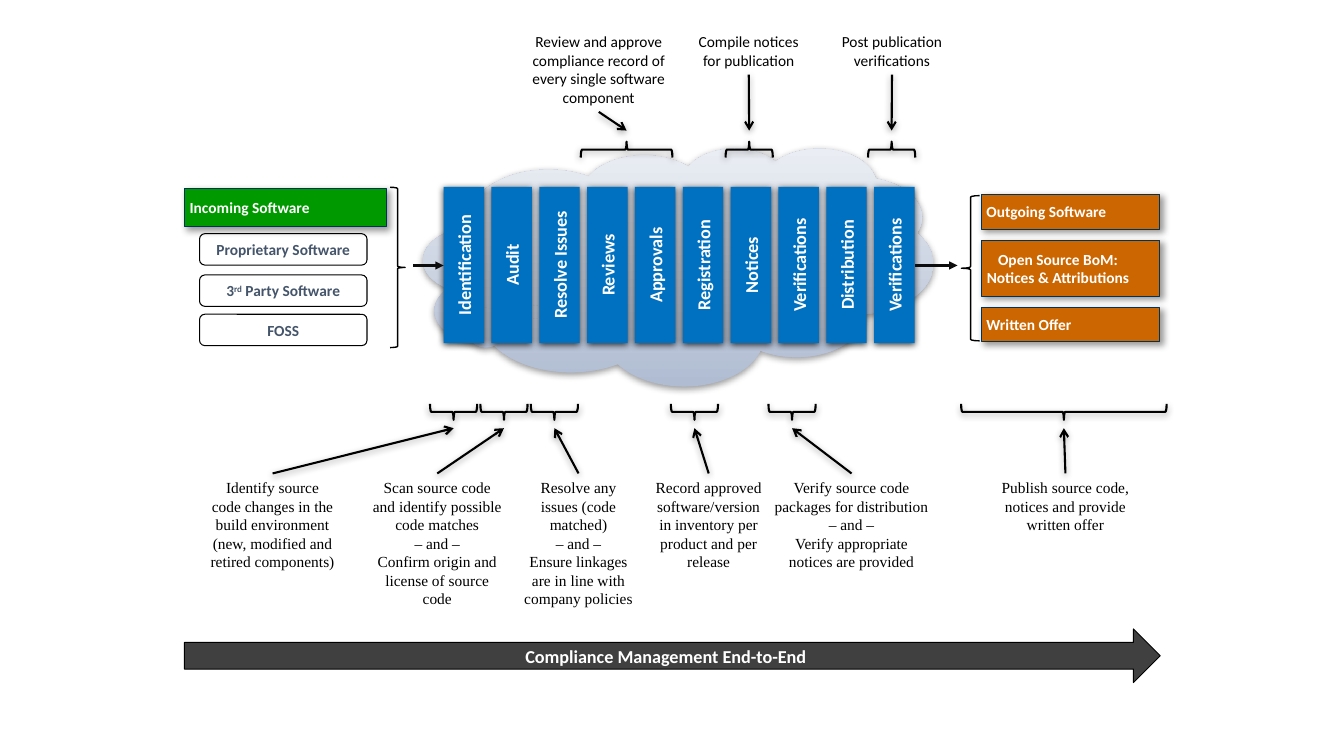
from lxml import etree
from pptx import Presentation
from pptx.dml.color import RGBColor
from pptx.enum.shapes import MSO_CONNECTOR, MSO_SHAPE
from pptx.enum.text import MSO_ANCHOR, PP_ALIGN
from pptx.oxml.ns import qn
from pptx.util import Cm, Pt

RECT, ROUND = MSO_SHAPE.RECTANGLE, MSO_SHAPE.ROUNDED_RECTANGLE
CLOUD, BLOCK_ARROW = MSO_SHAPE.CLOUD_CALLOUT, MSO_SHAPE.RIGHT_ARROW
LEFT_BRACE, RIGHT_BRACE = MSO_SHAPE.LEFT_BRACE, MSO_SHAPE.RIGHT_BRACE
STRAIGHT = MSO_CONNECTOR.STRAIGHT
LEFT, CENTER = PP_ALIGN.LEFT, PP_ALIGN.CENTER
TOP, MIDDLE = MSO_ANCHOR.TOP, MSO_ANCHOR.MIDDLE

SOFT = (38, 1.6, 90)
DEEP = (75, 1, 90)
CORNER = (40, 3, 45)

STEPS = ["Identification", "Audit", "Resolve Issues", "Reviews", "Approvals",
         "Registration", "Notices", "Verifications", "Distribution", "Verifications"]
SOURCES = [(1.14, "Proprietary Software"), (2.18, "3^rd^ Party Software"), (3.17, "FOSS")]
OUTPUTS = [(0, 0.89, LEFT, ["Outgoing Software"]),
           (1.16, 1.42, CENTER, ["Open Source BoM:", "Notices & Attributions"]),
           (2.86, 0.86, LEFT, ["Written Offer"])]

# Each note: text centre, text width, text height, brace centre, brace length, lines
NOTES_ABOVE = [
    (10.44, 3.86, 2.13, 11.14, 2.31,
     ["Review and approve", "compliance record of every single software component"]),
    (14.22, 3.86, 1.19, 14.23, 1.19, ["Compile notices", "for publication"]),
    (17.83, 3.86, 1.19, 17.82, 1.19, ["Post publication", "verifications"]),
]
NOTES_BELOW = [
    (2.22, 3.63, 2.62, 6.78, 1.19,
     ["Identify source", "code changes in the", "build environment",
      "(new, modified and", "retired components)"]),
    (6.37, 3.76, 3.56, 8.05, 1.19,
     ["Scan source code", "and identify possible", "code matches", "– and –",
      "Confirm origin and", "license of source", "code"]),
    (9.93, 3.25, 3.56, 9.32, 1.19,
     ["Resolve any", "issues (code", "matched)", "– and –", "Ensure linkages",
      "are in line with", "company policies"]),
    (13.21, 3.2, 2.62, 12.85, 1.19,
     ["Record approved", "software/version", "in inventory per", "product and per", "release"]),
    (16.81, 3.97, 2.62, 15.31, 1.19,
     ["Verify source code packages for distribution", "– and –",
      "Verify appropriate notices are provided"]),
    (22.2, 3.97, 1.68, 22.16, 5.18,
     ["Publish source code,", "notices and provide written offer"]),
]


def rgb(value):
    """Turn a hex string into a colour."""
    return RGBColor.from_string(value)


def add_shadow(sp, opacity, dist, angle):
    """Give a shape or connector an outer shadow."""
    effects = etree.SubElement(sp._element.spPr, qn("a:effectLst"))
    outer = etree.SubElement(effects, qn("a:outerShdw"), blurRad=str(Pt(5)),
                             dist=str(Pt(dist)), dir=str(angle * 60000), rotWithShape="0")
    color = etree.SubElement(outer, qn("a:srgbClr"), val="000000")
    etree.SubElement(color, qn("a:alpha"), val=str(opacity * 1000))


def add_shape(s, kind, x, y, w, h, fill=None, line=None, width=0.75, shadow=None):
    """Add a preset shape with its fill, outline and shadow."""
    sp = s.shapes.add_shape(kind, Cm(x), Cm(y), Cm(w), Cm(h))
    if fill:
        sp.fill.solid()
        sp.fill.fore_color.rgb = rgb(fill)
    else:
        sp.fill.background()
    if line:
        sp.line.color.rgb = rgb(line)
        sp.line.width = Pt(width)
    else:
        sp.line.fill.background()
    if shadow:
        add_shadow(sp, *shadow)
    else:
        sp.shadow.inherit = False
    return sp


def write(sp, lines, size, color, font="Calibri", bold=True, align=CENTER,
          anchor=MIDDLE, left=0.0, right=0.0):
    """Write one paragraph per line, with text between carets raised."""
    tf = sp.text_frame
    tf.word_wrap = True
    tf.vertical_anchor = anchor
    tf.margin_left, tf.margin_right = Cm(left), Cm(right)
    for i, line in enumerate(lines):
        p = tf.paragraphs[0] if i == 0 else tf.add_paragraph()
        p.alignment = align
        for j, part in enumerate(line.split("^")):
            r = p.add_run()
            r.text = part
            r.font.name, r.font.size, r.font.bold = font, Pt(size), bold
            r.font.color.rgb = rgb(color)
            if j % 2:
                r._r.get_or_add_rPr().set("baseline", "30000")


def add_arrow(s, x1, y1, x2, y2, color, head, shadow=None):
    """Draw a straight arrow."""
    c = s.shapes.add_connector(STRAIGHT, Cm(x1), Cm(y1), Cm(x2), Cm(y2))
    c.line.color.rgb = rgb(color)
    c.line.width = Pt(1.5)
    etree.SubElement(c._element.spPr.find(qn("a:ln")), qn("a:tailEnd"), type=head)
    if shadow:
        add_shadow(c, *shadow)
    else:
        etree.SubElement(c._element.spPr, qn("a:effectLst"))


def add_incoming(s, x, y, w):
    """Place the incoming software list and its brace."""
    head = add_shape(s, RECT, x, y, w, 0.97, "009900", "003359", shadow=CORNER)
    write(head, ["Incoming Software"], 11, "FFFFFF", align=LEFT, left=0.13)
    for dy, name in SOURCES:
        sp = add_shape(s, ROUND, x + 0.38, y + dy, 4.22, 0.79, line="000000")
        write(sp, [name], 11, "44546A")
    add_shape(s, RIGHT_BRACE, x + w + 0.1, y - 0.03, 0.38, 4.04, line="000000", width=1)


def add_pipeline(s, x, y, w, h):
    """Place the cloud, the process steps and the arrows in and out."""
    cloud = add_shape(s, CLOUD, x, y, w, h, shadow=SOFT)
    cloud.adjustments[0], cloud.adjustments[1] = -0.28, 0.19
    cloud.fill.gradient()
    cloud.fill.gradient_angle = 90
    for stop, color in zip(cloud.fill.gradient_stops, ("B0BCD2", "EAEDF3")):
        stop.color.rgb = rgb(color)
    pitch = (w - 2) / (len(STEPS) - 1)
    for i, step in enumerate(STEPS):
        bar = add_shape(s, RECT, x + 0.51 + i * pitch, y + 0.98, 1.02, 3.94,
                        "0070C0", shadow=DEEP)
        write(bar, [step], 13, "FFFFFF")
        bar.text_frame._txBody.bodyPr.set("vert", "vert270")
    middle = y + 2.96
    add_arrow(s, x - 0.26, middle, x + 0.51, middle, "0D0D0D", "triangle")
    add_arrow(s, x + 12.39, middle, x + 13.46, middle, "0D0D0D", "triangle")


def add_outgoing(s, x, y, w):
    """Place the outgoing deliverables and their brace."""
    for dy, h, align, lines in OUTPUTS:
        sp = add_shape(s, RECT, x, y + dy, w, h, "CC6600", "003359", shadow=CORNER)
        write(sp, lines, 11, "FFFFFF", align=align, left=0.13, right=0.76)
    add_shape(s, LEFT_BRACE, x - 0.5, y + 0.04, 0.46, 3.66, line="000000", width=1)


def add_notes(s, x, text_y, brace_y, notes, font, above):
    """Place notes, each with an arrow to a brace lying along the pipeline."""
    kind = LEFT_BRACE if above else RIGHT_BRACE
    tip_y = brace_y + (-0.48 if above else 0.41)
    thick = 0.4
    for text_cx, w, h, brace_cx, length, lines in notes:
        tb = s.shapes.add_textbox(Cm(x + text_cx - w / 2), Cm(text_y), Cm(w), Cm(h))
        write(tb, lines, 11, "000000", font, False, anchor=TOP)
        brace = add_shape(s, kind, x + brace_cx - thick / 2, brace_y - length / 2,
                          thick, length, line="000000", width=1.5, shadow=SOFT)
        brace.rotation = 90
        start_y = text_y + h if above else text_y
        add_arrow(s, x + text_cx, start_y, x + brace_cx, tip_y, "000000", "arrow", SOFT)


def add_banner(s, x, y, w, h):
    """Place the end-to-end arrow."""
    sp = add_shape(s, BLOCK_ARROW, x, y, w, h, "404040", "000000")
    write(sp, ["Compliance Management End-to-End"], 13, "FFFFFF")


def main():
    """Build the slide and save it."""
    prs = Presentation()
    prs.slide_width, prs.slide_height = Cm(33.87), Cm(19.05)
    s = prs.slides.add_slide(prs.slide_layouts[6])
    add_pipeline(s, 10.67, 3.73, 12.85, 5.99)
    add_incoming(s, 4.65, 4.75, 5.08)
    add_outgoing(s, 24.73, 4.89, 4.5)
    add_notes(s, 4.65, 0.69, 3.77, NOTES_ABOVE, "Calibri", True)
    add_notes(s, 4.65, 11.93, 10.38, NOTES_BELOW, "Times New Roman", False)
    add_banner(s, 4.65, 15.85, 24.59, 1.35)
    prs.save("out.pptx")


if __name__ == "__main__":
    main()
